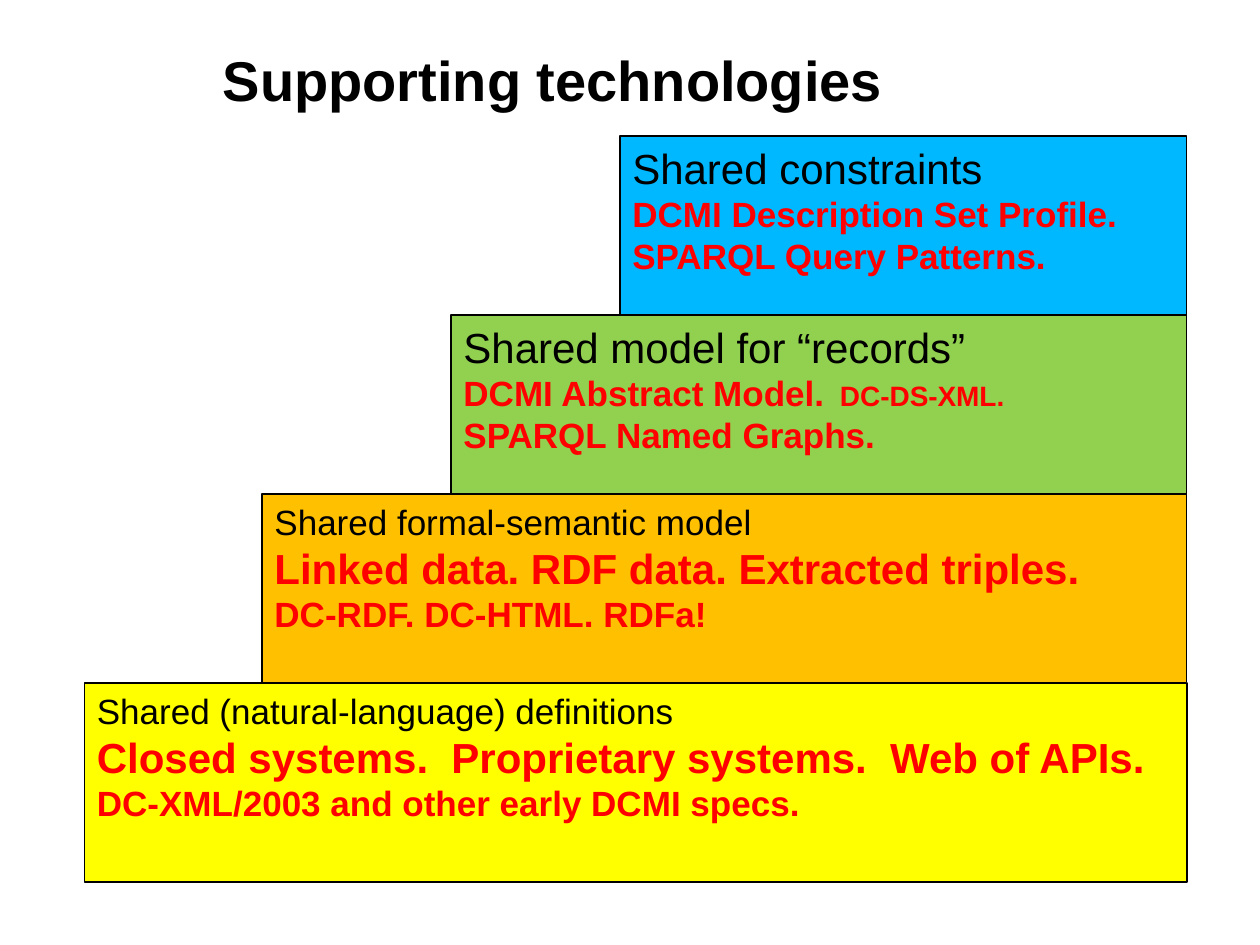
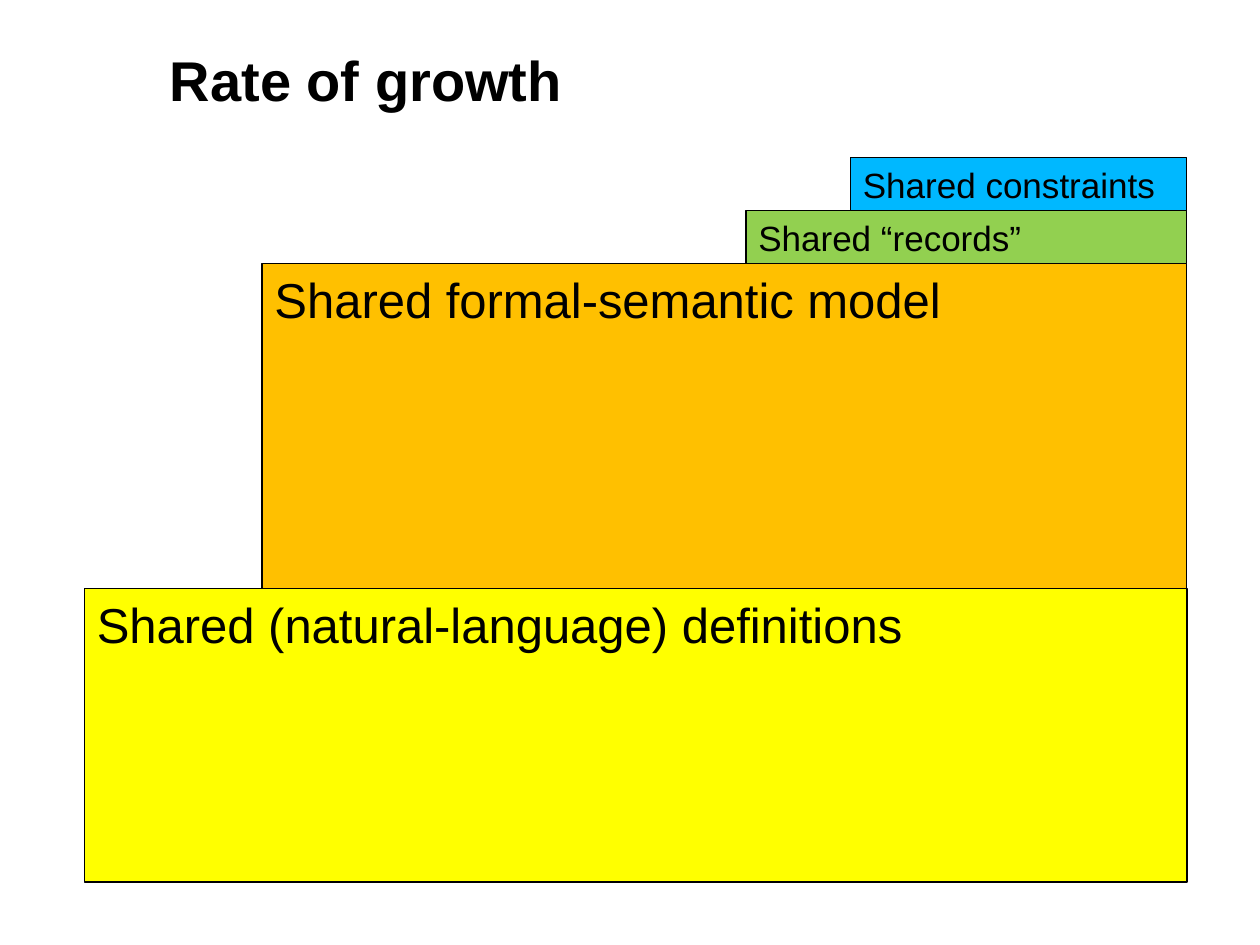
from pptx import Presentation
from pptx.dml.color import RGBColor
from pptx.enum.shapes import MSO_SHAPE as Shape
from pptx.enum.text import MSO_ANCHOR as Anchor, PP_ALIGN as Align
from pptx.util import Inches, Pt

FONT = "Arial"
BLACK, RED = "000000", "FF0000"
YELLOW, ORANGE, GREEN, BLUE = "FFFF00", "FFC000", "92D050", "00B8FF"
STEP_COLORS = [YELLOW, ORANGE, GREEN, BLUE]  # bottom step first
STAIRS_RIGHT, STAIRS_BOTTOM = 9.42, 7.0
TITLE_TOP, TITLE_RIGHT, TITLE_HEIGHT = -0.17, 9.27, 1.59

# Each step: left edge, height, lines; each line is a list of (text, size).
# The first line names the step, the others list its technologies.
TECHNOLOGY_STEPS = [
    (0.67, 1.58, [[("Shared (natural-language) definitions", 20)],
                  [("Closed systems.  Proprietary systems.  Web of APIs.", 24)],
                  [("DC-XML/2003 and other early DCMI specs.", 20)]]),
    (2.08, 1.5, [[("Shared formal-semantic model", 20)],
                 [("Linked data. RDF data. Extracted triples.", 24)],
                 [("DC-RDF. DC-HTML. RDFa!", 20)]]),
    (3.58, 1.42, [[("Shared model for “records”", 24)],
                  [("DCMI Abstract Model.", 20), ("  DC-DS-XML.", 16)],
                  [("SPARQL Named Graphs.", 20)]]),
    (4.92, 1.42, [[("Shared constraints", 24)],
                  [("DCMI Description Set Profile.", 20)],
                  [("SPARQL Query Patterns.", 20)]]),
]
GROWTH_STEPS = [
    (0.67, 2.33, [[("Shared (natural-language) definitions", 28)]]),
    (2.08, 2.58, [[("Shared formal-semantic model", 28)]]),
    (5.92, 0.42, [[("Shared “records”", 20)]]),
    (6.75, 0.42, [[("Shared constraints", 20)]]),
]


def color(hex_code):
    return RGBColor.from_string(hex_code)


def style(span, size, hex_code=BLACK, bold=False):
    span.font.name = FONT
    span.font.size = Pt(size)
    span.font.bold = bold
    span.font.color.rgb = color(hex_code)


def add_title(page, text, left):
    box = page.shapes.add_textbox(Inches(left), Inches(TITLE_TOP),
                                  Inches(TITLE_RIGHT - left), Inches(TITLE_HEIGHT))
    frame = box.text_frame
    frame.word_wrap = True
    frame.vertical_anchor = Anchor.MIDDLE
    frame.text = text
    style(frame.paragraphs[0].runs[0], 32, bold=True)


def add_step(page, left, top, height, fill, lines):
    box = page.shapes.add_shape(Shape.RECTANGLE, Inches(left), Inches(top),
                                Inches(STAIRS_RIGHT - left), Inches(height))
    box.shadow.inherit = False
    box.fill.solid()
    box.fill.fore_color.rgb = color(fill)
    box.line.color.rgb = color(BLACK)
    box.line.width = Pt(0.75)
    frame = box.text_frame
    frame.word_wrap = True
    frame.vertical_anchor = Anchor.TOP
    for index, line in enumerate(lines):
        para = frame.add_paragraph() if index else frame.paragraphs[0]
        para.alignment = Align.LEFT
        for text, size in line:
            span = para.add_run()
            span.text = text
            style(span, size, RED if index else BLACK, bold=index > 0)


def add_stairs_slide(deck, title, title_left, steps):
    page = deck.slides.add_slide(deck.slide_layouts[6])
    add_title(page, title, title_left)
    # Steps share a right edge and pile up from the bottom
    top = STAIRS_BOTTOM
    for fill, (left, height, lines) in zip(STEP_COLORS, steps):
        top -= height
        add_step(page, left, top, height, fill, lines)


def main():
    deck = Presentation()
    deck.slide_width, deck.slide_height = Inches(10), Inches(7.5)
    add_stairs_slide(deck, "Supporting technologies", 1.67, TECHNOLOGY_STEPS)
    add_stairs_slide(deck, "Rate of growth", 1.25, GROWTH_STEPS)
    deck.save("out.pptx")


if __name__ == "__main__":
    main()
